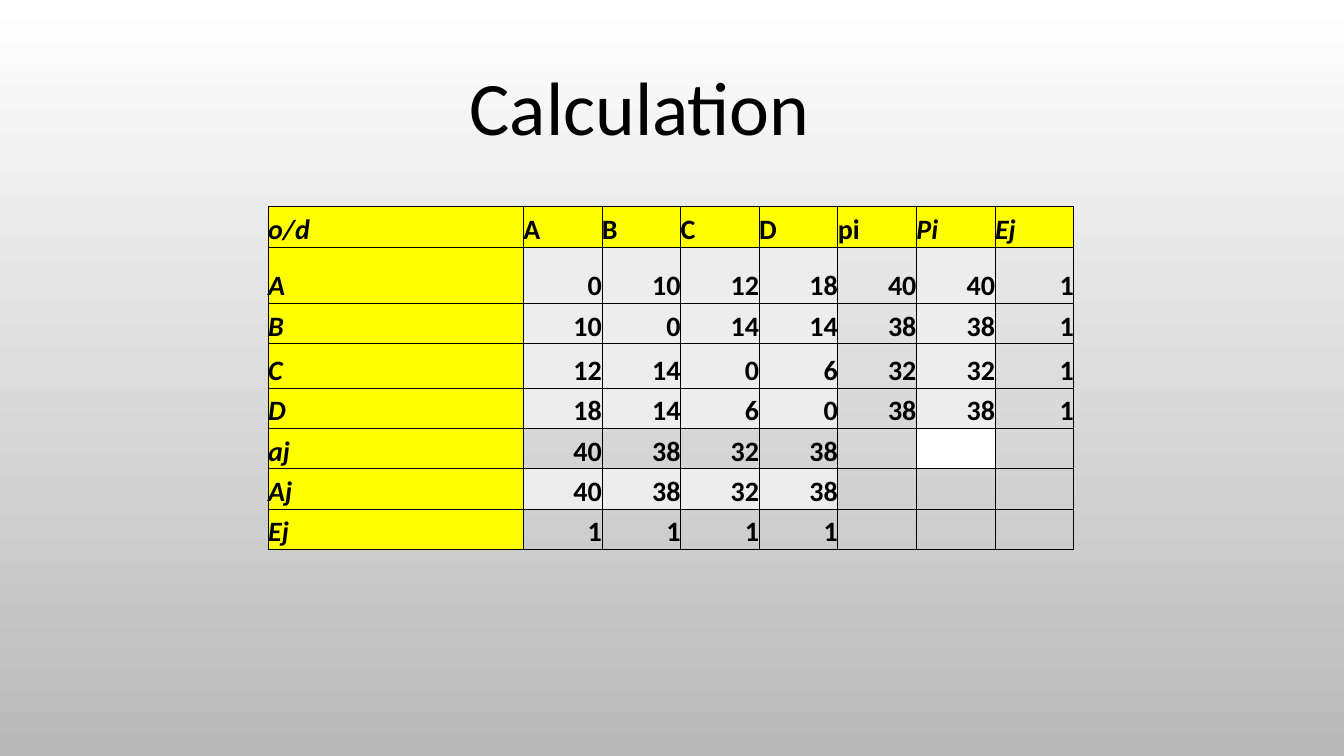
from lxml import etree
from pptx import Presentation
from pptx.dml.color import RGBColor
from pptx.enum.text import MSO_ANCHOR, MSO_AUTO_SIZE, PP_ALIGN
from pptx.oxml import parse_xml
from pptx.oxml.ns import nsdecls
from pptx.util import Inches, Pt

COLORS = {
    "ink": "000000",
    "label": "FFFF00",
    "trips": "EDEDED",
    "white": "FFFFFF",
    "grey": "B9B9B9",
}
FONT = "Calibri"


def add_span(para, text, size, bold=False, italic=False):
    span = para.add_run()
    span.text = text
    font = span.font
    font.name, font.size, font.bold, font.italic = FONT, Pt(size), bold, italic
    font.color.rgb = RGBColor.from_string(COLORS["ink"])


def add_borders(cell):
    """Draw a thin line on all four sides; call before the cell is filled."""
    properties = cell._tc.get_or_add_tcPr()
    for side in ("lnL", "lnR", "lnT", "lnB"):
        properties.append(parse_xml(
            f'<a:{side} {nsdecls("a")} w="{Pt(0.5)}"><a:solidFill>'
            f'<a:srgbClr val="{COLORS["ink"]}"/></a:solidFill></a:{side}>'))


deck = Presentation()
deck.slide_width, deck.slide_height = Inches(13.33), Inches(7.5)
page = deck.slides.add_slide(deck.slide_layouts[6])

# Background
backdrop = page.background.fill
backdrop.gradient()
backdrop.gradient_angle = 270
for stop, name in zip(backdrop.gradient_stops, ("white", "grey")):
    stop.color.rgb = RGBColor.from_string(COLORS[name])

# Title
title = page.shapes.add_textbox(Inches(4.37), Inches(0.54), Inches(3.95), Inches(1.01))
title.text_frame.word_wrap = False
title.text_frame.auto_size = MSO_AUTO_SIZE.SHAPE_TO_FIT_TEXT
para = title.text_frame.paragraphs[0]
para.alignment = PP_ALIGN.CENTER
add_span(para, "Calculation", 54)

# Origin-destination table
ROWS = [
    ["o/d", "A", "B", "C", "D", "pi", "Pi", "Ej"],
    ["A", "0", "10", "12", "18", "40", "40", "1"],
    ["B", "10", "0", "14", "14", "38", "38", "1"],
    ["C", "12", "14", "0", "6", "32", "32", "1"],
    ["D", "18", "14", "6", "0", "38", "38", "1"],
    ["aj", "40", "38", "32", "38", "", "", ""],
    ["Aj", "40", "38", "32", "38", "", "", ""],
    ["Ej", "1", "1", "1", "1", "", "", ""],
]
WIDTHS = [2.53] + [0.78] * 7
HEIGHTS = [0.4, 0.56, 0.4, 0.44, 0.4, 0.4, 0.4, 0.4]
ITALIC_HEADS = ("o/d", "Pi", "Ej")

table = page.shapes.add_table(len(ROWS), len(WIDTHS), Inches(2.66), Inches(2.05),
                              Inches(sum(WIDTHS)), Inches(sum(HEIGHTS))).table
table.first_row = table.horz_banding = False
for column, width in zip(table.columns, WIDTHS):
    column.width = Inches(width)
for row, height in zip(table.rows, HEIGHTS):
    row.height = Inches(height)

for r, texts in enumerate(ROWS):
    for c, text in enumerate(texts):
        cell = table.cell(r, c)
        cell.margin_left = cell.margin_right = cell.margin_top = cell.margin_bottom = 0
        cell.vertical_anchor = MSO_ANCHOR.BOTTOM
        add_borders(cell)

        is_label = r == 0 or c == 0
        if is_label:
            fill = "label"
        elif (r, c) == (5, 6):
            fill = "white"
        elif text and r in (1, 2, 3, 4, 6) and c in (1, 2, 3, 4, 6):
            fill = "trips"
        else:
            fill = None
        if fill:
            cell.fill.solid()
            cell.fill.fore_color.rgb = RGBColor.from_string(COLORS[fill])
        else:
            cell.fill.background()

        if text:
            para = cell.text_frame.paragraphs[0]
            para.alignment = PP_ALIGN.LEFT if is_label else PP_ALIGN.RIGHT
            add_span(para, text, 20, bold=True, italic=c == 0 or text in ITALIC_HEADS)

deck.save("out.pptx")
